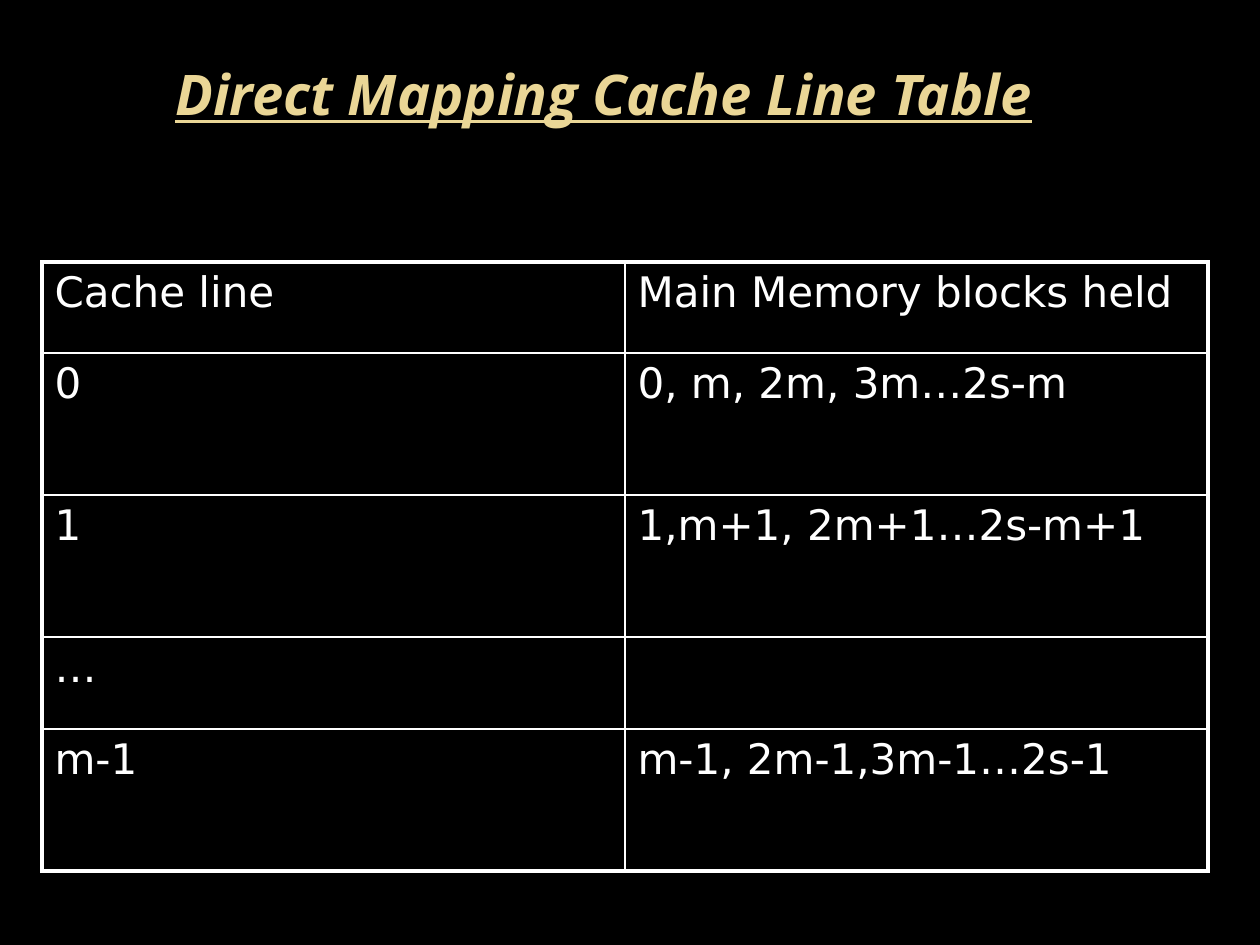
from lxml import etree
from pptx import Presentation
from pptx.dml.color import RGBColor
from pptx.enum.text import MSO_ANCHOR, PP_ALIGN
from pptx.oxml.ns import qn
from pptx.util import Pt

MIDDLE = MSO_ANCHOR.MIDDLE
CENTER = PP_ALIGN.CENTER
SCALE = 914400 / 126
COLORS = {"back": "000000", "title": "EAD696", "text": "FFFFFF", "line": "FFFFFF"}
TITLE = {"name": "Open Sans", "size": Pt(32), "bold": True, "italic": True, "underline": True}
BODY = {"name": "DejaVu Sans", "size": Pt(24), "bold": False}
OUTER, INNER = Pt(2.25), Pt(1)

COLS = [583, 583]
ROWS = [
    (91, "Cache line", "Main Memory blocks held"),
    (142, "0", "0, m, 2m, 3m…2s-m"),
    (142, "1", "1,m+1, 2m+1…2s-m+1"),
    (92, "…", ""),
    (142, "m-1", "m-1, 2m-1,3m-1…2s-1"),
]


def px(n):
    return round(n * SCALE)


def rgb(name):
    return RGBColor.from_string(COLORS[name])


def style(font, form, color):
    for key, value in form.items():
        setattr(font, key, value)
    font.color.rgb = rgb(color)


def add_title(slide, text, left, top, width, height):
    title = slide.shapes.title
    title.left, title.top, title.width, title.height = map(px, (left, top, width, height))
    frame = title.text_frame
    frame.word_wrap = True
    frame.vertical_anchor = MIDDLE
    para = frame.paragraphs[0]
    para.alignment = CENTER
    run = para.add_run()
    run.text = text
    style(run.font, TITLE, "title")


def add_edge(cell, side, width):
    """Draw one border of a cell; side is L, R, T or B, in that order."""
    props = cell._tc.get_or_add_tcPr()
    line = etree.SubElement(props, qn(f"a:ln{side}"), w=str(width))
    fill = etree.SubElement(line, qn("a:solidFill"))
    etree.SubElement(fill, qn("a:srgbClr"), val=COLORS["line"])


def fill_cell(cell, text, edges):
    for side, outer in edges.items():
        add_edge(cell, side, OUTER if outer else INNER)
    cell.fill.background()
    para = cell.text_frame.paragraphs[0]
    if text:
        run = para.add_run()
        run.text = text
        style(run.font, BODY, "text")


def add_grid(slide, left, top):
    high = [row[0] for row in ROWS]
    frame = slide.shapes.add_table(
        len(ROWS), len(COLS), px(left), px(top), px(sum(COLS)), px(sum(high)))
    table = frame.table
    table.first_row = table.horz_banding = False
    for col, width in zip(table.columns, COLS):
        col.width = px(width)
    for r, (height, *texts) in enumerate(ROWS):
        table.rows[r].height = px(height)
        for c, text in enumerate(texts):
            edges = {"L": c == 0, "R": c == len(COLS) - 1,
                     "T": r == 0, "B": r == len(ROWS) - 1}
            fill_cell(table.cell(r, c), text, edges)


def main():
    deck = Presentation()
    deck.slide_width, deck.slide_height = px(1260), px(945)
    slide = deck.slides.add_slide(deck.slide_layouts[5])
    back = slide.background.fill
    back.solid()
    back.fore_color.rgb = rgb("back")
    add_title(slide, "Direct Mapping Cache Line Table", 21, 38, 1166, 110)
    add_grid(slide, 42, 262)
    deck.save("out.pptx")


if __name__ == "__main__":
    main()
